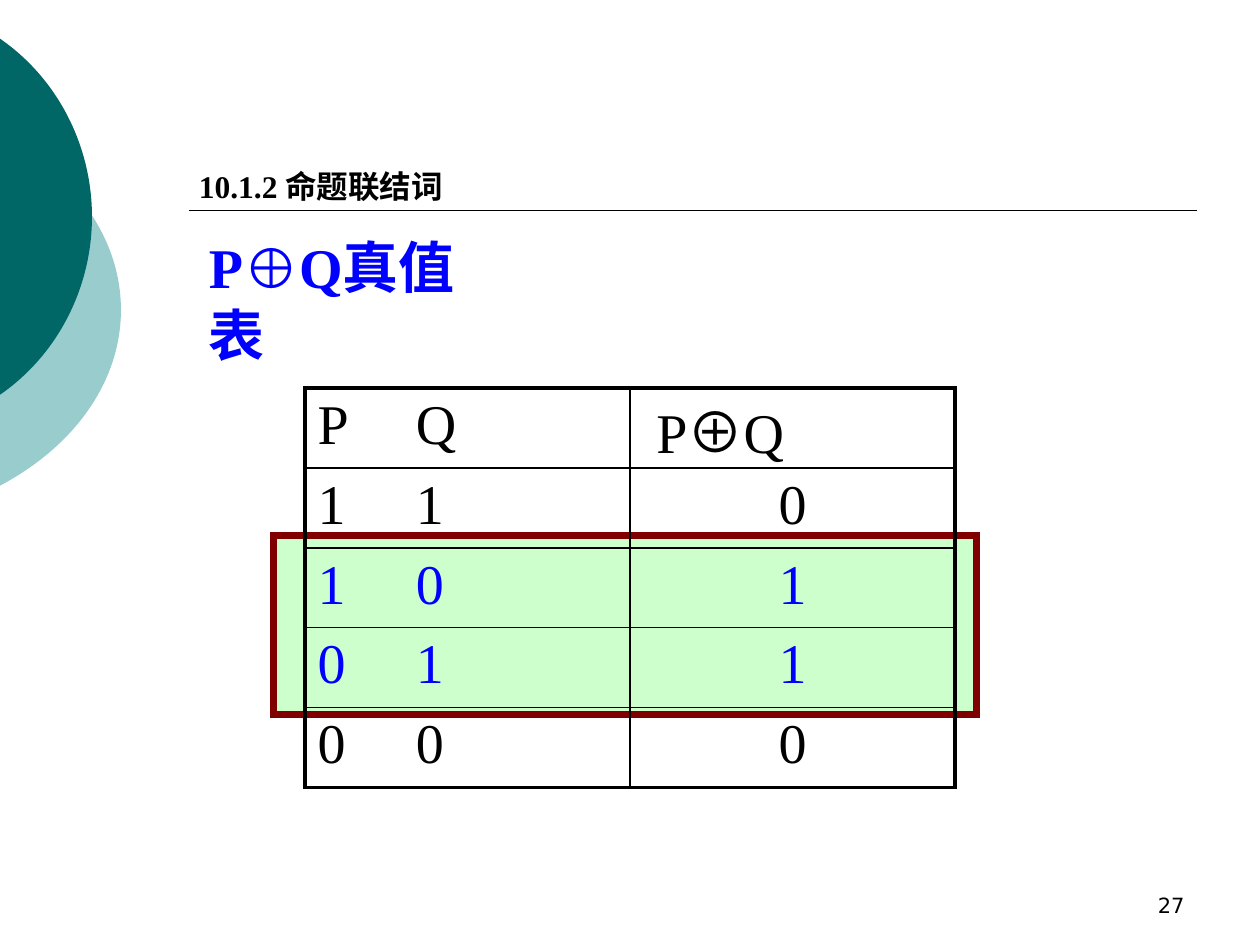
from dataclasses import dataclass

from lxml import etree
from pptx import Presentation
from pptx.dml.color import RGBColor
from pptx.enum import shapes, text
from pptx.oxml import ns
from pptx.util import Inches, Pt

SERIF, CJK, SANS = "Times New Roman", "Noto Sans CJK SC", "DejaVu Sans"
BLACK, BLUE = "000000", "0000FF"
THICK, THIN = 2.25, 1


@dataclass
class Disc:
    """Disc in a frame, seen only right of the slide's left edge."""
    color: str
    frame: tuple[float, float, float, float]
    start: tuple[float, float]
    shoulder: tuple[float, float]
    side: tuple[float, float]
    apex: tuple[float, float]


@dataclass
class TruthRow:
    p: str
    q: str
    result: str
    color: str = BLACK


DISCS = [
    Disc("99CCCC", (-3.54, 0.75, 4.5, 3.42),
         (-0.01, 1.06), (0.6, 1.38), (0.96, 1.9), (0.96, 2.46)),
    Disc("006666", (-2.65, 0, 3.38, 3.45),
         (-0.01, 0.3), (0.46, 0.62), (0.73, 1.16), (0.73, 1.72)),
]
TRUTH_ROWS = [
    TruthRow("1", "1", "0"),
    TruthRow("1", "0", "1", BLUE),
    TruthRow("0", "1", "1", BLUE),
    TruthRow("0", "0", "0"),
]


def rgb(color: str) -> RGBColor:
    return RGBColor.from_string(color)


def add_run(paragraph, words: str, size: float, font: str = SERIF,
            color: str = BLACK, bold: bool = False) -> None:
    run = paragraph.add_run()
    run.text = words
    run.font.size = Pt(size)
    run.font.name = font
    run.font.bold = bold
    run.font.color.rgb = rgb(color)
    east_asian = etree.SubElement(run._r.get_or_add_rPr(), ns.qn("a:ea"))
    east_asian.set("typeface", CJK)


def add_textbox(slide, left: float, top: float, width: float, height: float):
    frame = slide.shapes.add_textbox(
        Inches(left), Inches(top), Inches(width), Inches(height)).text_frame
    frame.word_wrap = True
    return frame


def draw_disc(slide, disc: Disc) -> None:
    left, top, width, height = disc.frame
    right, bottom = left + width, top + height
    builder = slide.shapes.build_freeform(Inches(left), Inches(top))
    builder.add_line_segments([(Inches(x), Inches(y)) for x, y in (
        (right, top), (right, bottom), (left, bottom))])
    half = builder.convert_to_shape()
    half.shadow.inherit = False
    half.fill.solid()
    half.fill.fore_color.rgb = rgb(disc.color)
    half.line.fill.background()

    def mirrored(point: tuple[float, float]) -> tuple[float, float]:
        return point[0], 2 * disc.apex[1] - point[1]

    outline = half._element.find(".//" + ns.qn("a:path"))
    for corner in list(outline):
        outline.remove(corner)
    for command, points in (
            ("moveTo", [disc.start]),
            ("cubicBezTo", [disc.shoulder, disc.side, disc.apex]),
            ("cubicBezTo", [mirrored(disc.side), mirrored(disc.shoulder),
                            mirrored(disc.start)]),
            ("close", [])):
        segment = etree.SubElement(outline, ns.qn(f"a:{command}"))
        for x, y in points:
            etree.SubElement(segment, ns.qn("a:pt"),
                             x=str(Inches(x - left)), y=str(Inches(y - top)))


def draw_rule(slide) -> None:
    rule = slide.shapes.add_connector(
        shapes.MSO_CONNECTOR.STRAIGHT,
        Inches(1.5), Inches(1.67), Inches(9.5), Inches(1.67))
    rule.line.color.rgb = rgb(BLACK)
    rule.line.width = Pt(1)
    etree.SubElement(rule._element.spPr, ns.qn("a:effectLst"))


def draw_highlight(slide) -> None:
    highlight = slide.shapes.add_shape(
        shapes.MSO_SHAPE.RECTANGLE,
        Inches(2.17), Inches(4.25), Inches(5.58), Inches(1.42))
    highlight.shadow.inherit = False
    highlight.fill.solid()
    highlight.fill.fore_color.rgb = rgb("CCFFCC")
    highlight.line.color.rgb = rgb("800000")
    highlight.line.width = Pt(4)
    outline = highlight._element.spPr.find(ns.qn("a:ln"))
    etree.SubElement(outline, ns.qn("a:miter"), lim="800000")


def set_borders(cell, **widths: float) -> None:
    """Draw black borders, keyed by side: L, R, T, B."""
    properties = cell._tc.get_or_add_tcPr()
    for side, width in widths.items():
        border = etree.SubElement(properties, ns.qn(f"a:ln{side}"), w=str(Pt(width)))
        fill = etree.SubElement(border, ns.qn("a:solidFill"))
        etree.SubElement(fill, ns.qn("a:srgbClr"), val=BLACK)


def write_inputs(cell, p: str, q: str, color: str) -> None:
    """Write both inputs, the second one at a tab stop."""
    paragraph = cell.text_frame.paragraphs[0]
    stops = etree.SubElement(paragraph._p.get_or_add_pPr(), ns.qn("a:tabLst"))
    etree.SubElement(stops, ns.qn("a:tab"), pos=str(Inches(0.78)), algn="l")
    add_run(paragraph, f"{p}\t{q}", 32, color=color)


def draw_truth_table(slide) -> None:
    count = len(TRUTH_ROWS) + 1
    table = slide.shapes.add_table(
        count, 2, Inches(2.42), Inches(3.08), Inches(5.16), Inches(3.17)).table
    table.first_row = table.horz_banding = False
    for row in range(count):
        for column in range(2):
            cell = table.cell(row, column)
            set_borders(cell,
                        L=THIN if column else THICK,
                        R=THICK if column else THIN,
                        T=THIN if row else THICK,
                        B=THICK if row == count - 1 else THIN)
            cell.fill.background()

    write_inputs(table.cell(0, 0), "P", "Q", BLACK)
    heading = table.cell(0, 1)
    heading.margin_left = Inches(0.21)
    heading.margin_top = heading.margin_bottom = 0
    for words, font in (("P", SERIF), ("⊕", CJK), ("Q", SERIF)):
        add_run(heading.text_frame.paragraphs[0], words, 32, font)

    for number, row in enumerate(TRUTH_ROWS, start=1):
        write_inputs(table.cell(number, 0), row.p, row.q, row.color)
        result = table.cell(number, 1).text_frame.paragraphs[0]
        result.alignment = text.PP_ALIGN.CENTER
        add_run(result, row.result, 32, color=row.color)


def main() -> None:
    presentation = Presentation()
    presentation.slide_width, presentation.slide_height = Inches(10), Inches(7.5)
    slide = presentation.slides.add_slide(presentation.slide_layouts[6])

    for disc in DISCS:
        draw_disc(slide, disc)
    draw_rule(slide)
    draw_highlight(slide)

    section = add_textbox(slide, 1.48, 1.28, 2.77, 0.4).paragraphs[0]
    add_run(section, "10.1.2 ", 18, bold=True)
    add_run(section, "命题联结词", 18, CJK, bold=True)

    title = add_textbox(slide, 1.56, 1.8, 2.59, 0.63).paragraphs[0]
    add_run(title, "P⊕Q真值表", 32, color=BLUE, bold=True)

    draw_truth_table(slide)

    page = add_textbox(slide, 7.17, 6.83, 2.33, 0.5)
    page.vertical_anchor = text.MSO_ANCHOR.BOTTOM
    page.paragraphs[0].alignment = text.PP_ALIGN.RIGHT
    add_run(page.paragraphs[0], "27", 12, SANS)

    presentation.save("out.pptx")


if __name__ == "__main__":
    main()
